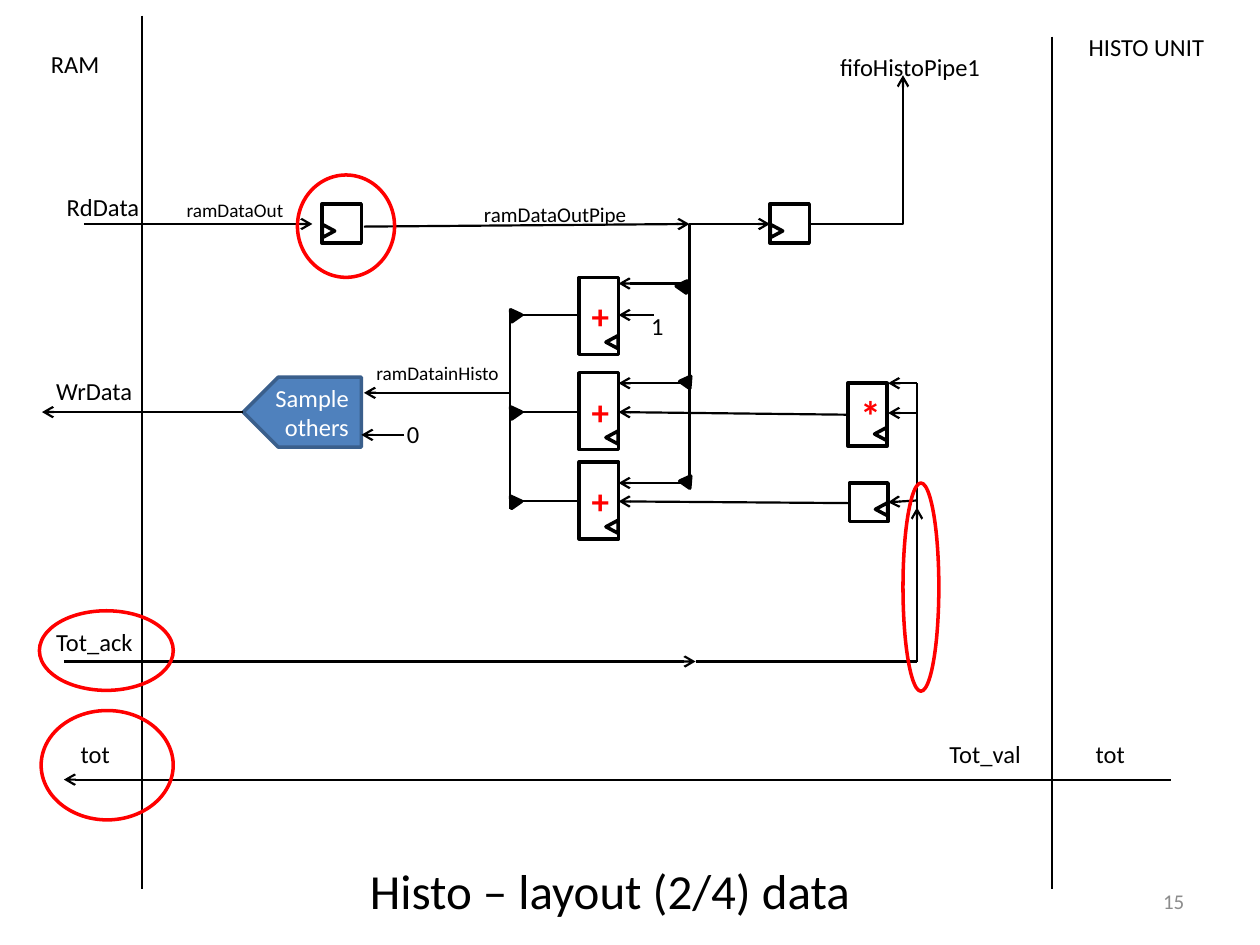
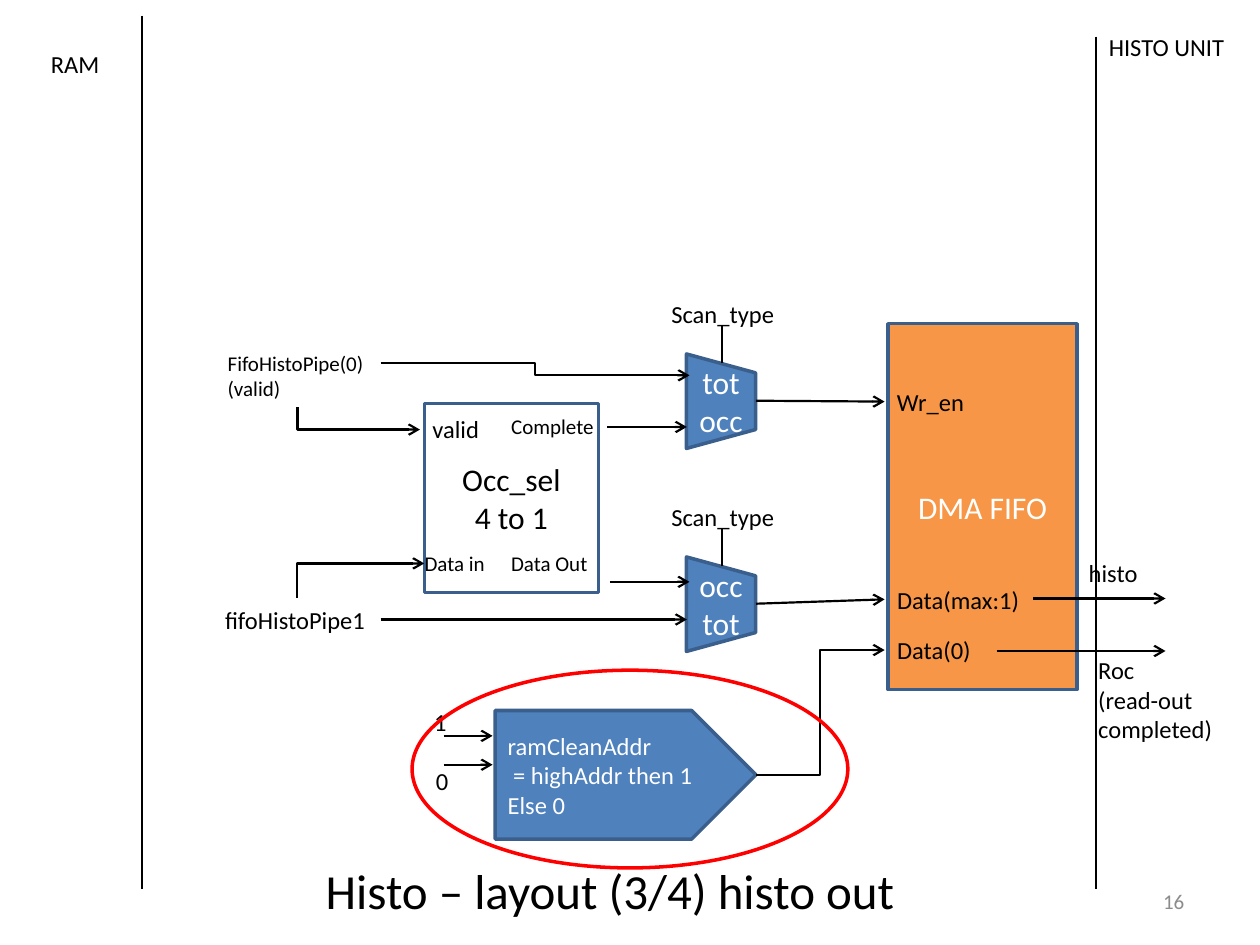
from copy import deepcopy

from lxml.etree import SubElement
from pptx import Presentation
from pptx.dml.color import RGBColor
from pptx.enum.shapes import MSO_CONNECTOR as Link, MSO_SHAPE as Preset
from pptx.enum.text import MSO_ANCHOR as Anchor, MSO_AUTO_SIZE as AutoSize, PP_ALIGN as Align
from pptx.oxml.ns import qn
from pptx.util import Pt

COLORS = {
    "ink": "000000",
    "white": "FFFFFF",
    "mark": "FF0000",
    "block": "4F81BD",
    "edge": "3A5F8C",
    "fifo": "F79646",
    "number": "8C8C8C",
}
FONT = "Calibri"
WIRE, OUTLINE = 1.25, 2
TITLE_ONLY, NUMBER_IDX = 5, 12


def color(name):
    return RGBColor.from_string(COLORS[name])


class Diagram:
    """Draws one block diagram slide; all numbers are points."""

    def __init__(self, prs, title, number, unit_edge, unit_label_left):
        layout = prs.slide_layouts[TITLE_ONLY]
        self.slide = prs.slides.add_slide(layout)
        self.shapes = self.slide.shapes
        self.place_title(title)
        self.place_number(layout, number)
        self.wire((81, 9), (81, 508))
        self.wire((unit_edge, 21), (unit_edge, 508))
        self.label("HISTO UNIT", unit_label_left, 15, 81)
        self.label("RAM", 22, 24.5, 42.5)

    def place_title(self, title):
        heading = self.shapes.title
        heading.left, heading.top = Pt(76), Pt(489)
        heading.width, heading.height = Pt(545), Pt(39)
        self.fill_text(heading.text_frame, title, 28, "ink", Align.CENTER)

    def place_number(self, layout, number):
        source = next(p for p in layout.placeholders
                      if p.placeholder_format.idx == NUMBER_IDX)
        self.shapes._spTree.append(deepcopy(source._element))
        footer = next(p for p in self.slide.placeholders
                      if p.placeholder_format.idx == NUMBER_IDX)
        self.fill_text(footer.text_frame, str(number), 12, "number", Align.RIGHT)

    def fill_text(self, frame, text, size, ink, align=Align.LEFT, bold=False):
        frame.text = text
        for paragraph in frame.paragraphs:
            paragraph.alignment = align
            font = paragraph.font
            font.name, font.size, font.bold = FONT, Pt(size), bold
            font.color.rgb = color(ink)

    def label(self, text, left, top, width, size=14):
        lines = text.count("\n") + 1
        height = 1.2 * size * lines + 7.2
        box = self.shapes.add_textbox(Pt(left), Pt(top), Pt(width), Pt(height))
        frame = box.text_frame
        frame.word_wrap = False
        frame.auto_size = AutoSize.SHAPE_TO_FIT_TEXT
        self.fill_text(frame, text, size, "ink")

    def shape(self, preset, left, top, width, height, fill=None, line="ink", turn=0):
        part = self.shapes.add_shape(preset, Pt(left), Pt(top), Pt(width), Pt(height))
        part.shadow.inherit = False
        part.rotation = turn
        if fill:
            part.fill.solid()
            part.fill.fore_color.rgb = color(fill)
        else:
            part.fill.background()
        part.line.color.rgb = color(line)
        part.line.width = Pt(OUTLINE)
        part.text_frame.vertical_anchor = Anchor.MIDDLE
        return part

    def box(self, preset, text, bounds, size=18, fill=None, ink="white",
            align=Align.CENTER, turn=0):
        part = self.shape(preset, *bounds, fill, "edge", turn)
        self.fill_text(part.text_frame, text, size, ink, align)
        return part

    def ring(self, left, top, width, height):
        self.shape(Preset.OVAL, left, top, width, height, line="mark")

    def clocked(self, left, top, width, height, symbol="", size=20, clock_right=True):
        """A clocked element: outline, optional operator and clock wedge."""
        body = self.shape(Preset.RECTANGLE, left, top, width, height)
        if symbol:
            self.fill_text(body.text_frame, symbol, size, "mark", Align.CENTER, True)
        wedge_left = left + width - 7.5 if clock_right else left
        self.shape(Preset.ISOSCELES_TRIANGLE, wedge_left, top + height - 10.5, 7.5, 7,
                   turn=270 if clock_right else 90)

    def tap(self, left, top, turn):
        """A filled wedge where a branch leaves a bus."""
        self.shape(Preset.ISOSCELES_TRIANGLE, left, top, 7, 6, fill="ink", turn=turn)

    def mux(self, text, top):
        body = self.box(Preset.FLOWCHART_MANUAL_OPERATION, text, (385, top, 54, 39.5),
                        fill="block", turn=270)
        body.text_frame._txBody.bodyPr.set("vert", "vert")
        self.wire((412.5, top - 2), (412.5, top - 23))
        self.label("Scan_type", 376.5, top - 42, 74)

    def wire(self, start, end, arrow=None, kind=Link.STRAIGHT):
        """arrow is None, "tailEnd" (at end) or "headEnd" (at start)."""
        link = self.shapes.add_connector(kind, *map(Pt, start), *map(Pt, end))
        link.line.color.rgb = color("ink")
        link.line.width = Pt(WIRE)
        properties = link._element.spPr
        if arrow:
            SubElement(properties.find(qn("a:ln")), qn("a:" + arrow), type="arrow")
        SubElement(properties, qn("a:effectLst"))
        return link

    def arrow(self, start, end):
        self.wire(start, end, "tailEnd")

    def corner(self, start, end, arrow):
        """One bend: leaves start horizontally, reaches end vertically."""
        link = self.wire(start, end, arrow, Link.ELBOW)
        link._element.spPr.find(qn("a:prstGeom")).set("prst", "bentConnector2")


def draw_data(prs):
    d = Diagram(prs, "Histo – layout (2/4) data", 15, 601, 615)
    tot_bus, pipe_bus, sum_bus = 524, 394, 291.5
    adder_left, adder_right, operator_right = 331, 353.5, 507.5

    d.arrow((669, 445.5), (36.5, 445.5))
    for text, left, width in (("tot", 619, 32), ("Tot_val", 535.5, 56), ("tot", 39, 32)):
        d.label(text, left, 418.5, width)

    d.wire((tot_bus, 219), (tot_bus, 291))
    d.clocked(485.5, 276, 22, 22)
    d.clocked(484.5, 219, 22.5, 36, "*", 24)
    for start_y, end_y in ((286, 287), (236, 236), (219, 219)):
        d.arrow((tot_bus, start_y), (operator_right, end_y))
    d.arrow((484.5, 237), (adder_right, 235.5))
    d.arrow((485.5, 287.5), (adder_right, 286.5))

    d.wire((pipe_bus, 276), (pipe_bus, 128))
    d.wire((sum_bus, 180), (sum_bus, 291))
    for adder_top, input_y, sum_y in ((264, 276, 286.5), (213, 219, 235.5), (158.5, 162, 180)):
        d.clocked(adder_left, adder_top, 22.5, 44, "+")
        d.arrow((pipe_bus, input_y), (adder_right, input_y))
        d.wire((adder_left, sum_y), (sum_bus, sum_y))
        d.tap(290, sum_y - 3.5, 325)
    for left, top in ((389.5, 271.5), (389.5, 214.5), (387.5, 160)):
        d.tap(left, top, 35)
    d.arrow((373.5, 180), (adder_right, 180))
    d.label("1", 365, 174, 21.5)

    sample = d.box(Preset.PENTAGON, "Sample\nothers", (139, 215.5, 67.5, 40), 14,
                   "block", align=Align.RIGHT)
    sample._element.spPr.find(qn("a:xfrm")).set("flipH", "1")
    d.arrow((sum_bus, 224.5), (208, 224.5))
    d.arrow((231, 248.5), (206.5, 248.5))
    d.label("0", 225.5, 236, 21.5)
    d.label("ramDatainHisto", 208, 203, 85, 11)
    d.arrow((139, 235.5), (24, 235.5))
    d.label("WrData", 25, 211.5, 58.5)

    d.arrow((48, 128), (178.5, 128))
    for register_left in (184, 440):
        d.clocked(register_left, 116.5, 22.5, 22.5, clock_right=False)
    d.arrow((208, 129.5), (pipe_bus, 128))
    d.arrow((pipe_bus, 128), (440, 128))
    d.corner((462, 128), (516, 43), "tailEnd")
    d.label("RdData", 31, 106, 57)
    d.label("ramDataOut", 99.5, 109.5, 70.5, 11)
    d.label("ramDataOutPipe", 269.5, 111.5, 96.5, 12)
    d.label("fifoHistoPipe1", 473, 26, 96)

    d.arrow((36.5, 378), (397.5, 378))
    d.wire((397.5, 378), (tot_bus, 378))
    d.arrow((tot_bus, 378), (tot_bus, 290))
    d.label("Tot_ack", 25, 355, 59)

    for bounds in ((170, 100, 55.5, 58.5), (23.5, 406, 75.5, 62.5),
                   (22.5, 349, 76.5, 45.5), (516, 276, 20.5, 119)):
        d.ring(*bounds)


def draw_histo_out(prs):
    d = Diagram(prs, "Histo – layout (3/4) histo out", 16, 626.5, 626.5)
    fifo_port, mux_out, output_end = 505.5, 432, 666

    d.label("fifoHistoPipe1", 121.5, 342, 96)
    d.label("FifoHistoPipe(0)\n(valid)", 123, 196.5, 93, 12)
    d.box(Preset.PENTAGON, "ramCleanAddr\n = highAddr then 1\nElse 0",
          (283, 406, 149, 73.5), 14, "block", align=Align.LEFT)

    d.box(Preset.RECTANGLE, "Occ_sel\n4 to 1", (242.5, 230.5, 99.5, 108), ink="ink")
    d.label("valid", 240, 233, 42)
    d.label("Data in", 235.5, 311, 49, 12)
    d.label("Complete", 285, 233, 62, 12)
    d.label("Data Out", 285, 311, 58.5, 12)
    d.corner((240, 245.5), (170, 232.5), "headEnd")
    d.corner((242.5, 322), (170, 342), "headEnd")

    d.mux("occ\ntot", 325.5)
    d.mux("tot\nocc", 209.5)
    d.arrow((347, 244), (392.5, 244))
    d.arrow((348.5, 332.5), (394, 332.5))
    d.arrow((217.5, 354), (392.5, 354))
    d.wire((217.5, 207.5), (394, 214.5), "tailEnd", Link.ELBOW)

    d.box(Preset.RECTANGLE, "DMA FIFO", (507.5, 185, 108, 209), fill="fifo")
    for text, top, width in (("Wr_en", 217.5, 53), ("Data(max:1)", 330.5, 85),
                             ("Data(0)", 359.5, 57)):
        d.label(text, fifo_port, top, width)

    for text, left, top, wire_y in (("0", 242, 434, 437), ("1", 241, 400.5, 420.5)):
        d.arrow((253.5, wire_y), (281.5, wire_y))
        d.label(text, left, top, 21.5)
    d.arrow((mux_out, 229), (fifo_port, 229.5))
    d.arrow((mux_out, 345), (fifo_port, 342.5))
    d.wire((mux_out, 443), (fifo_port, 371.5), "tailEnd", Link.ELBOW)

    d.arrow((590.5, 342), (output_end, 342))
    d.arrow((569.5, 372), (output_end, 372))
    d.label("Roc\n(read-out\ncompleted)", 620.5, 371, 80)
    d.label("histo", 615, 315.5, 42.5)
    d.ring(235.5, 383, 249, 113)


def main():
    prs = Presentation()
    prs.slide_width, prs.slide_height = Pt(720), Pt(540)
    draw_data(prs)
    draw_histo_out(prs)
    prs.save("out.pptx")


if __name__ == "__main__":
    main()
